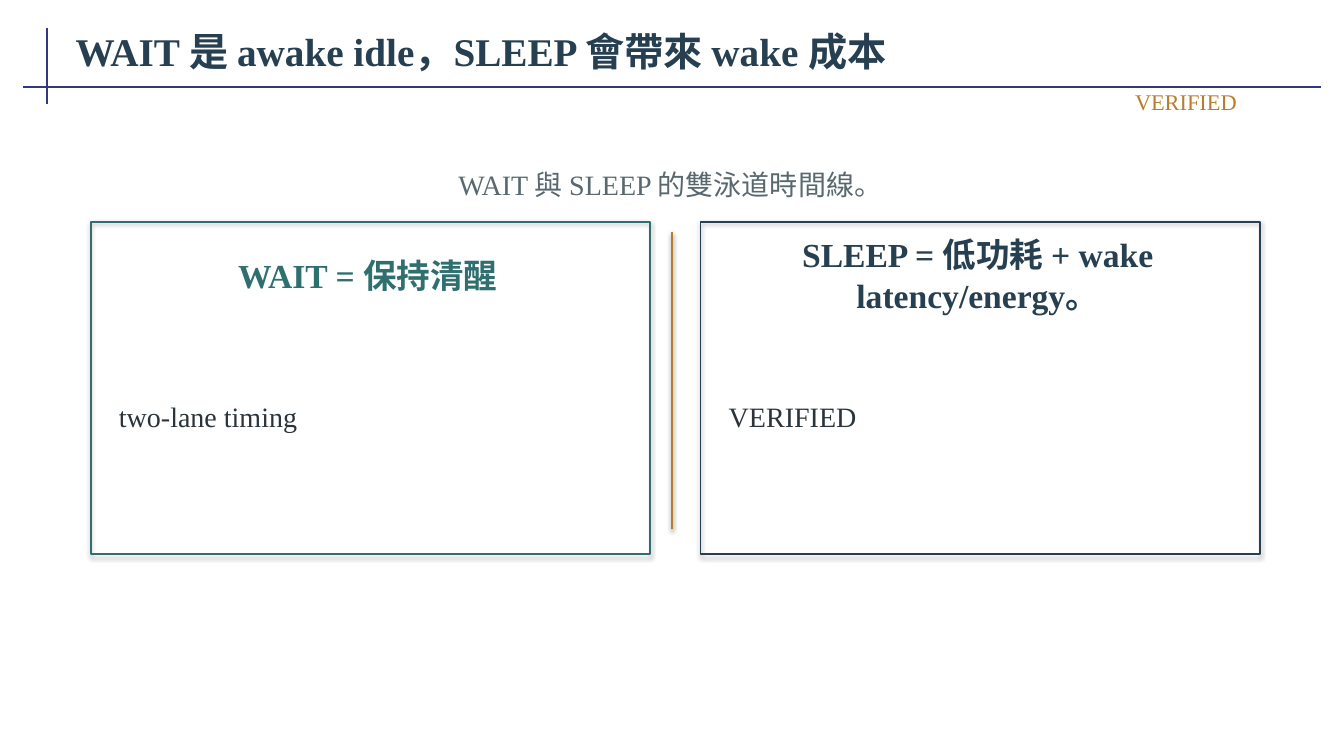
import pptx
import pptx.dml.color
import pptx.enum.shapes
import pptx.enum.text
import pptx.util
from lxml import etree

Pt = pptx.util.Pt
ALIGN = pptx.enum.text.PP_ALIGN
THEME = {
    "font": "Times New Roman",
    "rule": "35377F", "navy": "263F51", "teal": "2F6F70",
    "amber": "B77D2D", "grey": "59686F", "ink": "2A343A",
    "title": 28, "heading": 24, "body": 20, "tag": 16,
}

presentation = pptx.Presentation()
presentation.slide_width = Pt(960)
presentation.slide_height = Pt(540)
slide = presentation.slides.add_slide(presentation.slide_layouts[6])


def add_text(text, left, top, width, height, size, color, bold=False, align=ALIGN.LEFT):
    box = slide.shapes.add_textbox(Pt(left), Pt(top), Pt(width), Pt(height))
    frame = box.text_frame
    frame.word_wrap = True
    frame.vertical_anchor = pptx.enum.text.MSO_ANCHOR.MIDDLE
    frame.margin_left = frame.margin_right = Pt(5.76)
    frame.margin_top = frame.margin_bottom = Pt(2.88)
    paragraph = frame.paragraphs[0]
    paragraph.alignment = align
    run = paragraph.add_run()
    run.text = text
    run.font.name = THEME["font"]
    run.font.size = Pt(THEME[size])
    run.font.bold = bold
    run.font.color.rgb = pptx.dml.color.RGBColor.from_string(THEME[color])


def add_line(start_x, start_y, end_x, end_y, color, weight):
    line = slide.shapes.add_connector(
        pptx.enum.shapes.MSO_CONNECTOR.STRAIGHT, Pt(start_x), Pt(start_y), Pt(end_x), Pt(end_y))
    line.line.color.rgb = pptx.dml.color.RGBColor.from_string(THEME[color])
    line.line.width = Pt(weight)
    return line


for ends in [(33.6, 20, 33.6, 74.3), (16.8, 62, 943.5, 62)]:
    header_rule = add_line(*ends, "rule", 1.5)
    etree.SubElement(header_rule._element.spPr, pptx.oxml.ns.qn("a:effectLst"))

add_text("WAIT 是 awake idle，SLEEP 會帶來 wake 成本", 48.3, 13.7, 864, 45.4, "title", "navy", bold=True)
add_text("WAIT 與 SLEEP 的雙泳道時間線。", 64.8, 111.6, 828, 39.6, "body", "grey", align=ALIGN.CENTER)

lanes = [
    (64.8, "teal", "WAIT = 保持清醒", "two-lane timing"),
    (500.4, "navy", "SLEEP = 低功耗 + wake latency/energy。", "VERIFIED"),
]
for left, color, heading, body in lanes:
    card = slide.shapes.add_shape(
        pptx.enum.shapes.MSO_SHAPE.RECTANGLE, Pt(left), Pt(158.4), Pt(399.6), Pt(237.6))
    card.fill.background()
    card.line.color.rgb = pptx.dml.color.RGBColor.from_string(THEME[color])
    card.line.width = Pt(1.2)
    add_text(heading, left + 10.8, 172.8, 374.4, 46.8, "heading", color, bold=True, align=ALIGN.CENTER)
    add_text(body, left + 14.4, 226.8, 367.2, 140.4, "body", "ink")

add_line(480, 165.6, 480, 378, "amber", 1.8)
add_text("VERIFIED", 658.8, 61.9, 230.4, 21.6, "tag", "amber", align=ALIGN.RIGHT)

presentation.save("out.pptx")
